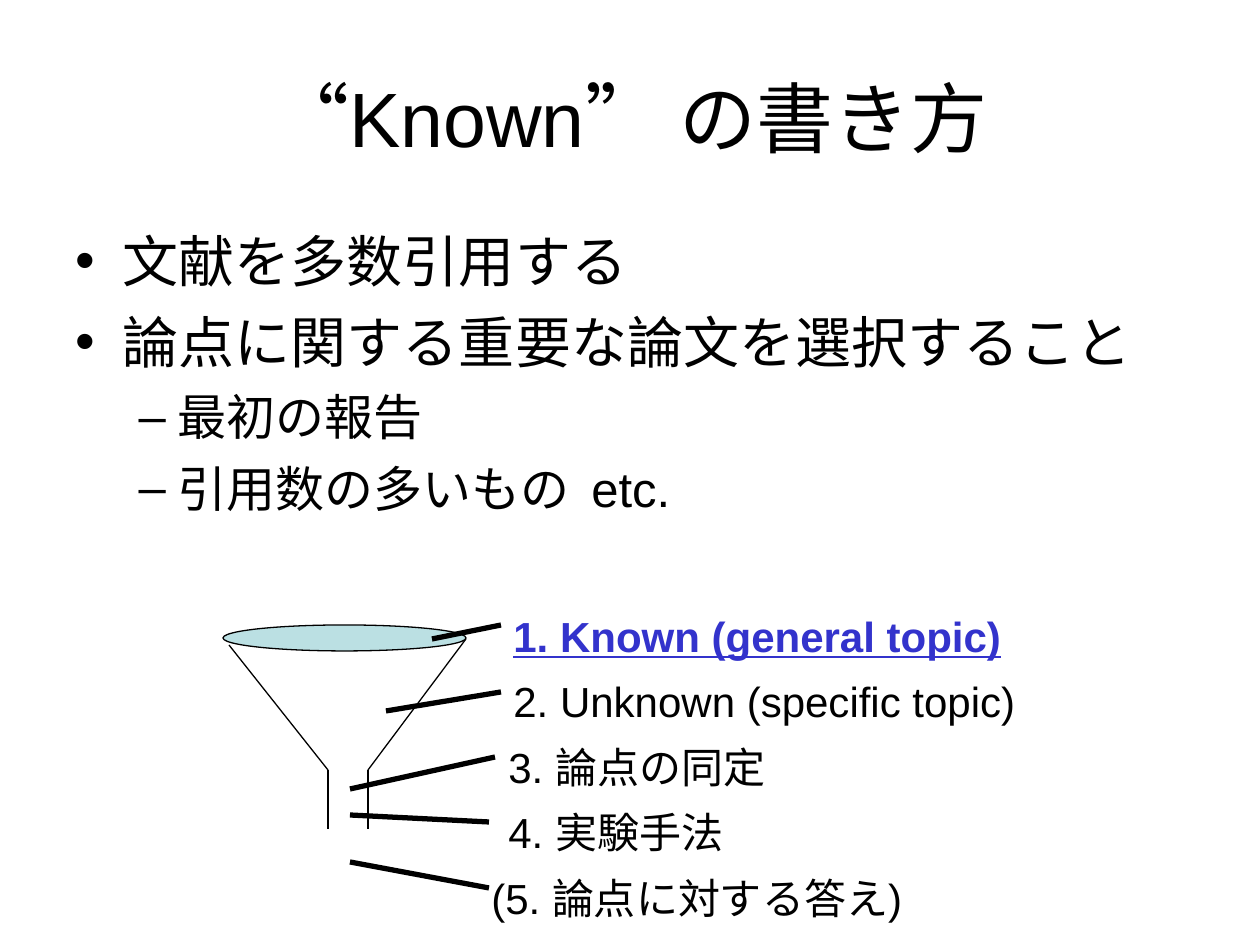
from lxml import etree
from pptx import Presentation
from pptx.dml.color import RGBColor
from pptx.enum.shapes import MSO_CONNECTOR, MSO_SHAPE
from pptx.enum.text import MSO_ANCHOR, MSO_AUTO_SIZE, PP_ALIGN
from pptx.oxml.ns import qn
from pptx.util import Emu, Pt

COLORS = {"text": "000000", "accent": "3333CC", "water": "BBE0E3"}


def px(*values):
    """Turn pixels (126 to the inch) into EMU."""
    return [Emu(round(v * 914400 / 126)) for v in values]


def add_line(s, points, width):
    line = s.shapes.add_connector(MSO_CONNECTOR.STRAIGHT, *px(*points))
    line.line.color.rgb = RGBColor.from_string(COLORS["text"])
    line.line.width = Pt(width)
    etree.SubElement(line._element.spPr, qn("a:effectLst"))


prs = Presentation()
prs.slide_width, prs.slide_height = px(1260, 945)
s = prs.slides.add_slide(prs.slide_layouts[1])

# Title
title = s.shapes.title
title.left, title.top, title.width, title.height = px(63, 38, 1134, 157)
tf = title.text_frame
tf.vertical_anchor = MSO_ANCHOR.MIDDLE
tf.text = "“Known” の書き方"
p = tf.paragraphs[0]
p.alignment = PP_ALIGN.CENTER
p.font.name, p.font.size = "Arial", Pt(44)
p.font.color.rgb = RGBColor.from_string(COLORS["text"])

# Advice list
body = s.placeholders[1]
body.left, body.top, body.width, body.height = px(63, 220, 1134, 624)
tf = body.text_frame
items = [
    ("文献を多数引用する", 0),
    ("論点に関する重要な論文を選択すること", 0),
    ("最初の報告", 1),
    ("引用数の多いもの  etc.", 1),
]
for i, (text, level) in enumerate(items):
    p = tf.paragraphs[0] if i == 0 else tf.add_paragraph()
    p.text, p.level = text, level
    p.space_before = Pt(8 - level)
    p.font.name, p.font.size = "Arial", Pt(32 - 4 * level)
    p.font.color.rgb = RGBColor.from_string(COLORS["text"])

# Funnel: two slanted sides, two spout sides, the open top
for side in [(229, 645, 328, 770), (466, 639, 368, 770),
             (328, 770, 328, 829), (368, 770, 368, 829)]:
    add_line(s, side, 0.75)

top = s.shapes.add_shape(MSO_SHAPE.OVAL, *px(223, 625, 243, 26))
top.shadow.inherit = False
top.fill.solid()
top.fill.fore_color.rgb = RGBColor.from_string(COLORS["water"])
top.line.color.rgb = RGBColor.from_string(COLORS["text"])
top.line.width = Pt(0.75)

# Stages: label, left, width, pointer
stages = [
    ("1. Known (general topic)", 501, 513, (432, 639, 501, 625)),
    ("2. Unknown (specific topic)", 501, 527, (386, 711, 501, 692)),
    ("3. 論点の同定", 496, 293, (350, 789, 495, 757)),
    ("4. 実験手法", 496, 251, (350, 815, 489, 822)),
    ("(5. 論点に対する答え)", 479, 456, (350, 862, 489, 888)),
]
for i, (text, left, width, pointer) in enumerate(stages):
    current = i == 0
    tf = s.shapes.add_textbox(*px(left, 604 + 65.5 * i, width, 63)).text_frame
    tf.word_wrap = False
    tf.auto_size = MSO_AUTO_SIZE.SHAPE_TO_FIT_TEXT
    tf.text = text
    font = tf.paragraphs[0].font
    font.name, font.size = "Arial", Pt(24)
    font.bold = font.underline = current
    font.color.rgb = RGBColor.from_string(COLORS["accent" if current else "text"])
    add_line(s, pointer, 3)

prs.save("out.pptx")
